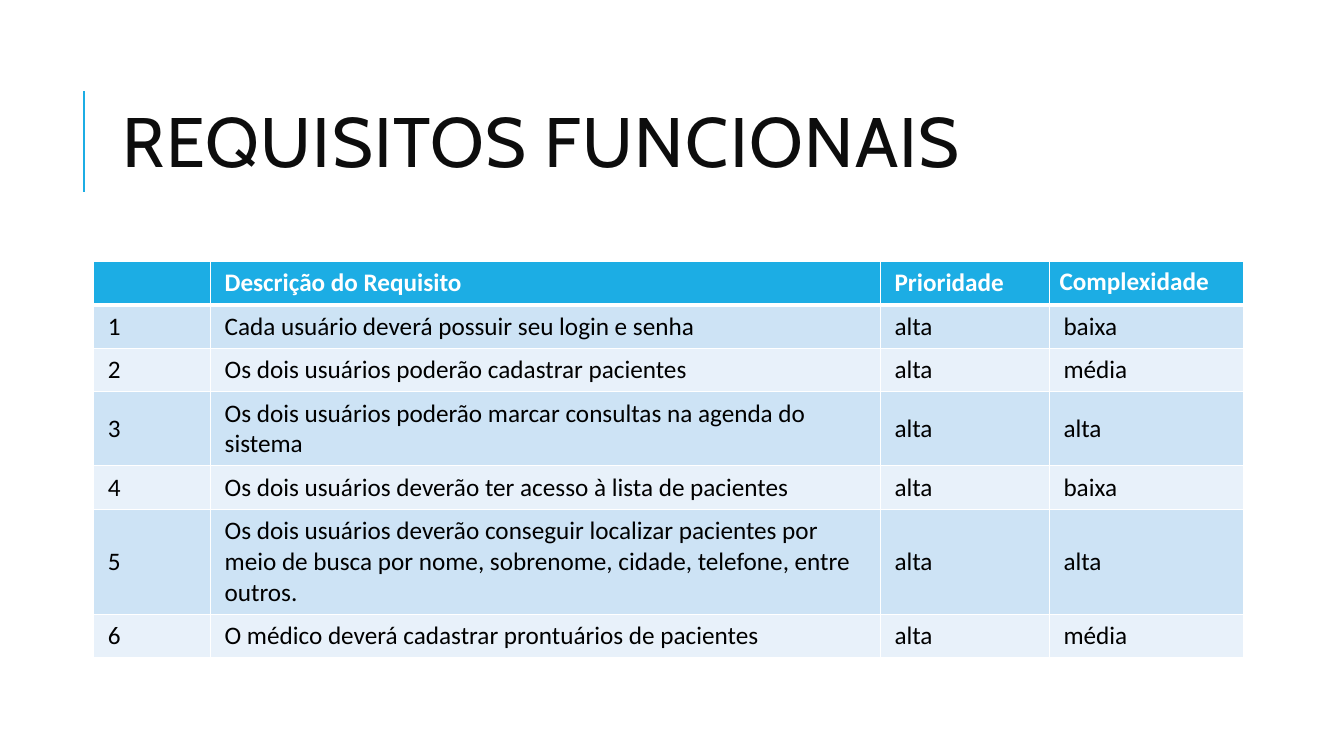
"""Build the functional requirements slide."""
from lxml.etree import SubElement
from pptx import Presentation
from pptx.dml.color import RGBColor
from pptx.enum.shapes import MSO_CONNECTOR
from pptx.enum.text import MSO_ANCHOR
from pptx.oxml.ns import qn
from pptx.util import Pt

BLUE = RGBColor(0x1C, 0xAD, 0xE4)
DARK_BAND = RGBColor(0xCD, 0xE3, 0xF5)
LIGHT_BAND = RGBColor(0xE8, 0xF1, 0xFA)
WHITE = RGBColor(0xFF, 0xFF, 0xFF)
BLACK = RGBColor(0x00, 0x00, 0x00)
TITLE_COLOR = RGBColor(0x0D, 0x0D, 0x0D)

COLUMN_WIDTHS = [83.5, 478.5, 120.7, 138.8]
HEADER = ["", "Descrição do Requisito", "Prioridade", "Complexidade"]
REQUIREMENTS = [
    ("Cada usuário deverá possuir seu login e senha", "alta", "baixa", 1),
    ("Os dois usuários poderão cadastrar pacientes", "alta", "média", 1),
    ("Os dois usuários poderão marcar consultas na agenda do sistema", "alta", "alta", 2),
    ("Os dois usuários deverão ter acesso à lista de pacientes", "alta", "baixa", 1),
    ("Os dois usuários deverão conseguir localizar pacientes por meio de busca por nome, "
     "sobrenome, cidade, telefone, entre outros.", "alta", "alta", 3),
    ("O médico deverá cadastrar prontuários de pacientes", "alta", "média", 1),
]


def style_font(font, name, size, color, bold=False):
    """Set the typeface, size, colour and weight of a font."""
    font.name = name
    font.size = Pt(size)
    font.color.rgb = color
    font.bold = bold


def add_accent_line(slide):
    """Draw the vertical line beside the title."""
    line = slide.shapes.add_connector(
        MSO_CONNECTOR.STRAIGHT, Pt(60), Pt(137), Pt(60), Pt(65))
    line.line.color.rgb = BLUE
    line.line.width = Pt(1.5)
    SubElement(line._element.spPr, qn("a:effectLst"))


def add_title(slide, text):
    """Write the slide title."""
    text_frame = slide.shapes.add_textbox(Pt(80.6), Pt(46), Pt(765.4), Pt(118)).text_frame
    text_frame.word_wrap = True
    text_frame.vertical_anchor = MSO_ANCHOR.MIDDLE
    text_frame.text = text
    paragraph = text_frame.paragraphs[0]
    paragraph.line_spacing = 0.8
    run = paragraph.runs[0]
    style_font(run.font, "Cabin", 50, TITLE_COLOR)
    run.font._element.set("spc", "100")


def set_borders(cell, widths):
    """Give a cell white borders, with widths in points by edge tag."""
    properties = cell._tc.get_or_add_tcPr()
    for tag, width in widths.items():
        border = SubElement(properties, qn(f"a:{tag}"), w=str(Pt(width)))
        fill = SubElement(border, qn("a:solidFill"))
        SubElement(fill, qn("a:srgbClr"), val=str(WHITE))


def fill_cell(cell, text, fill, color, is_header):
    """Write and format one table cell."""
    cell.text = text
    if is_header:
        set_borders(cell, {"lnL": 1, "lnR": 1, "lnT": 1, "lnB": 3})
    else:
        set_borders(cell, {"lnL": 1, "lnR": 1, "lnB": 1})
    cell.fill.solid()
    cell.fill.fore_color.rgb = fill
    if text != HEADER[-1]:
        cell.vertical_anchor = MSO_ANCHOR.MIDDLE
        cell.margin_left = cell.margin_right = Pt(10)
        cell.margin_top = cell.margin_bottom = Pt(4.5)
    paragraph = cell.text_frame.paragraphs[0]
    for run in paragraph.runs:
        style_font(run.font, "Calibri", 18, color, is_header)


def add_requirements_table(slide):
    """Add the table of numbered requirements."""
    rows = [HEADER]
    line_counts = [1]
    for number, (description, priority, complexity, lines) in enumerate(REQUIREMENTS, 1):
        rows.append([str(number), description, priority, complexity])
        line_counts.append(lines)
    heights = [9 + 22 * lines for lines in line_counts]
    table = slide.shapes.add_table(
        len(rows), len(HEADER), Pt(67), Pt(186.8),
        Pt(sum(COLUMN_WIDTHS)), Pt(sum(heights))).table
    table.horz_banding = False
    for column, width in zip(table.columns, COLUMN_WIDTHS):
        column.width = Pt(width)
    for index, (row, texts) in enumerate(zip(table.rows, rows)):
        row.height = Pt(heights[index])
        is_header = index == 0
        band = DARK_BAND if index % 2 else LIGHT_BAND
        for cell, text in zip(row.cells, texts):
            fill_cell(cell, text, BLUE if is_header else band,
                      WHITE if is_header else BLACK, is_header)


def main():
    """Build and save the presentation."""
    presentation = Presentation()
    presentation.slide_width = Pt(960)
    presentation.slide_height = Pt(540)
    slide = presentation.slides.add_slide(presentation.slide_layouts[6])
    add_accent_line(slide)
    add_title(slide, "REQUISITOS FUNCIONAIS")
    add_requirements_table(slide)
    presentation.save("out.pptx")


if __name__ == "__main__":
    main()
